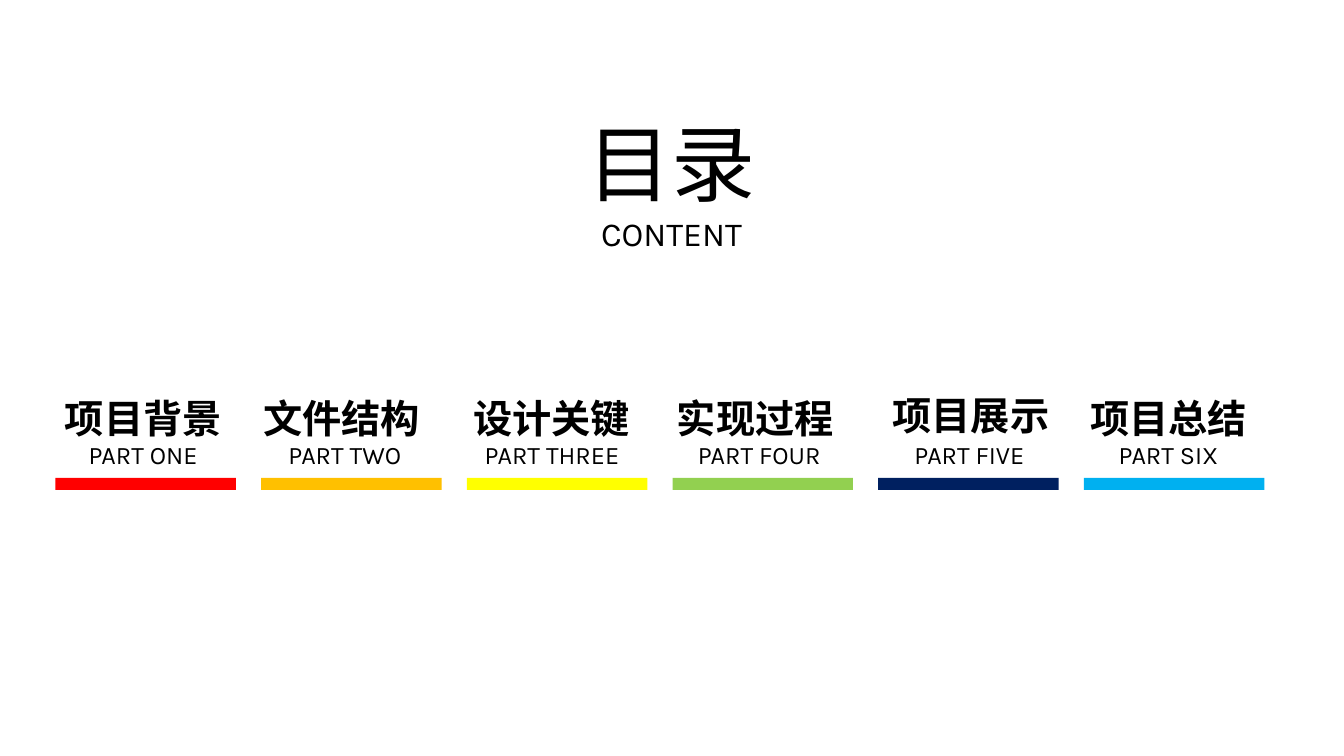
from pptx import Presentation
from pptx.dml.color import RGBColor
from pptx.enum.shapes import MSO_SHAPE
from pptx.enum.text import MSO_ANCHOR, MSO_AUTO_SIZE, PP_ALIGN
from pptx.util import Pt

PX = 9144
BLACK = RGBColor(0x00, 0x00, 0x00)
RED = RGBColor(0xFF, 0x00, 0x00)
ORANGE = RGBColor(0xFF, 0xC0, 0x00)
YELLOW = RGBColor(0xFF, 0xFF, 0x00)
GREEN = RGBColor(0x92, 0xD0, 0x50)
NAVY = RGBColor(0x00, 0x20, 0x60)
BLUE = RGBColor(0x00, 0xB0, 0xF0)

BAR_LEFT, BAR_STEP = 55, 204
PARTS = [
    ("项目背景", 46, 372, "PART ONE", 62, 160, RED),
    ("文件结构", 243, 372, "PART TWO", 255, 174, ORANGE),
    ("设计关键", 451, 372, "PART THREE", 454, 187, YELLOW),
    ("实现过程", 653, 372, "PART FOUR", 676, 154, GREEN),
    ("项目展示", 867, 369, "PART FIVE", 895, 133, NAVY),
    ("项目总结", 1063, 372, "PART SIX", 1092, 134, BLUE),
]


class ContentsSlide:
    """Draws the elements of a contents slide in one shared style."""

    font_name = "Karla"

    def __init__(self, slide):
        self.slide = slide

    def set_text(self, frame, lines, spacing, wrap=True, bold=False):
        frame_format = {
            "word_wrap": wrap,
            "vertical_anchor": MSO_ANCHOR.TOP,
            "auto_size": MSO_AUTO_SIZE.SHAPE_TO_FIT_TEXT,
        }
        for name, value in frame_format.items():
            setattr(frame, name, value)
        frame.text = "\n".join(text for text, _ in lines)
        for paragraph, (_, size) in zip(frame.paragraphs, lines):
            paragraph.alignment = PP_ALIGN.CENTER
            paragraph.line_spacing = spacing
            font = paragraph.runs[0].font
            font_format = {"name": self.font_name, "size": Pt(size), "bold": bold}
            for name, value in font_format.items():
                setattr(font, name, value)
            font.color.rgb = BLACK

    def title(self, lines, left, top, width, height):
        heading = self.slide.shapes.title
        place = {"left": left, "top": top, "width": width, "height": height}
        for name, value in place.items():
            setattr(heading, name, value * PX)
        self.set_text(heading.text_frame, lines, 1.0, wrap=False)

    def label(self, text, size, left, top, width, height, bold=False):
        box = self.slide.shapes.add_textbox(
            left * PX, top * PX, width * PX, height * PX)
        self.set_text(box.text_frame, [(text, size)], 1.3, bold=bold)

    def bar(self, color, left, top, width, height):
        strip = self.slide.shapes.add_shape(
            MSO_SHAPE.RECTANGLE, left * PX, top * PX, width * PX, height * PX)
        strip.shadow.inherit = False
        strip.fill.solid()
        strip.fill.fore_color.rgb = color
        strip.line.fill.background()


def main():
    deck = Presentation()
    deck.slide_width, deck.slide_height = 1333 * PX, 750 * PX
    contents = ContentsSlide(deck.slides.add_slide(deck.slide_layouts[5]))
    contents.title([("目录", 60), ("CONTENT", 24)], 572, 106, 188, 151)
    for index, part in enumerate(PARTS):
        topic, topic_left, topic_top, number, number_left, number_width, color = part
        contents.label(number, 18, number_left, 422, number_width, 49)
        contents.label(topic, 28, topic_left, topic_top, 192, 65, bold=True)
        contents.bar(color, BAR_LEFT + index * BAR_STEP, 474, 179, 12)
    deck.save("out.pptx")


if __name__ == "__main__":
    main()
